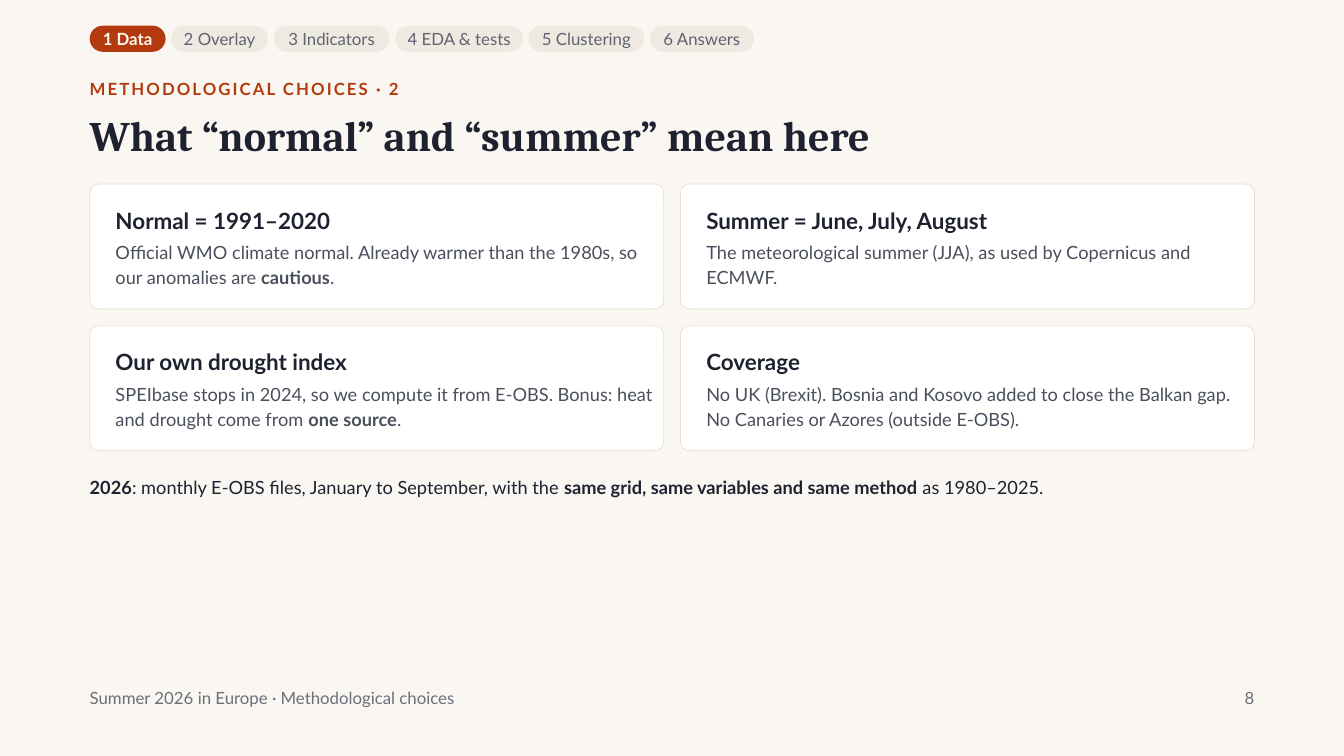
from pptx import Presentation
from pptx.dml.color import RGBColor
from pptx.enum import shapes, text
from pptx.util import Cm, Pt

PAPER = RGBColor(0xFA, 0xF7, 0xF2)
WHITE = RGBColor(0xFF, 0xFF, 0xFF)
EDGE = RGBColor(0xE4, 0xDE, 0xD3)
RUST = RGBColor(0xB2, 0x3A, 0x0E)
CREAM = RGBColor(0xFF, 0xF8, 0xF0)
SAND = RGBColor(0xEF, 0xEA, 0xE1)
SLATE = RGBColor(0x5E, 0x63, 0x70)
INK = RGBColor(0x1E, 0x22, 0x30)
BODY = RGBColor(0x4A, 0x4F, 0x5C)
MUTED = RGBColor(0x6B, 0x6F, 0x7B)

LEFT, WIDE = 3.39, 45.34
LEAD = {18: 25.2, 19.5: 27.3, 24: 28.8, 45: 51.7}  # line height by text size

# Tab label and width in cm
TABS = [("1 Data", 2.87), ("2 Overlay", 3.66), ("3 Indicators", 4.39),
        ("4 EDA & tests", 4.83), ("5 Clustering", 4.37), ("6 Answers", 3.94)]

# Card heading and body; ** marks bold parts
CARDS = [
    ("Normal = 1991–2020",
     "Official WMO climate normal. Already warmer than the 1980s, "
     "so our anomalies are **cautious**."),
    ("Summer = June, July, August",
     "The meteorological summer (JJA), as used by Copernicus and ECMWF."),
    ("Our own drought index",
     "SPEIbase stops in 2024, so we compute it from E-OBS. Bonus: "
     "heat and drought come from **one source**."),
    ("Coverage",
     "No UK (Brexit). Bosnia and Kosovo added to close the Balkan gap. "
     "No Canaries or Azores (outside E-OBS)."),
]


def style(para, words, size, color, bold=False, face="Lato",
          align=text.PP_ALIGN.LEFT):
    """Fill a paragraph, with the parts between ** in bold."""
    para.alignment = align
    para.line_spacing = Pt(LEAD[size])
    font = para.font
    font.name, font.size, font.bold = face, Pt(size), bold
    font.color.rgb = color
    for i, part in enumerate(words.split("**")):
        if part:
            run = para.add_run()
            run.text = part
            if i % 2:
                run.font.bold = True


def setup(frame, left=0, top=0, right=0, bottom=0,
          anchor=text.MSO_ANCHOR.TOP):
    frame.word_wrap = True
    frame.vertical_anchor = anchor
    frame.margin_left, frame.margin_top = Cm(left), Cm(top)
    frame.margin_right, frame.margin_bottom = Cm(right), Cm(bottom)
    return frame.paragraphs[0]


def add_note(slide, x, y, w, h, words, size, color, **look):
    box = slide.shapes.add_textbox(Cm(x), Cm(y), Cm(w), Cm(h))
    para = setup(box.text_frame)
    style(para, words, size, color, **look)
    return para


def add_panel(slide, x, y, w, h, curve, fill, line=None):
    panel = slide.shapes.add_shape(shapes.MSO_SHAPE.ROUNDED_RECTANGLE,
                                   Cm(x), Cm(y), Cm(w), Cm(h))
    panel.adjustments[0] = curve
    panel.shadow.inherit = False
    panel.fill.solid()
    panel.fill.fore_color.rgb = fill
    if line:
        panel.line.color.rgb = line
        panel.line.width = Pt(0.75)
    else:
        panel.line.fill.background()
    return panel.text_frame


def add_tab(slide, x, w, label, active):
    frame = add_panel(slide, x, 0.97, w, 0.99, 0.5, RUST if active else SAND)
    para = setup(frame, bottom=0.13, anchor=text.MSO_ANCHOR.MIDDLE)
    style(para, label, 18, CREAM if active else SLATE, bold=active,
          align=text.PP_ALIGN.CENTER)


def add_card(slide, x, y, head, body):
    frame = add_panel(slide, x, y, 21.7, 4.72, 0.07, WHITE, EDGE)
    para = setup(frame, left=0.88, top=0.76, right=0.28)
    style(para, head, 24, INK, bold=True)
    para.space_after = Pt(4.3)
    style(frame.add_paragraph(), body, 19.5, BODY)


def add_title(slide, words):
    title = slide.shapes.title
    title.left, title.top = Cm(LEFT), Cm(4.24)
    title.width, title.height = Cm(WIDE), Cm(1.85)
    style(setup(title.text_frame), words, 45, INK, bold=True, face="Cambria")


def main():
    deck = Presentation()
    deck.slide_width, deck.slide_height = Cm(50.8), Cm(28.58)
    slide = deck.slides.add_slide(deck.slide_layouts[5])
    slide.background.fill.solid()
    slide.background.fill.fore_color.rgb = PAPER

    # Section tabs
    x = LEFT
    for i, (label, w) in enumerate(TABS):
        add_tab(slide, x, w, label, i == 0)
        x += w + 0.21

    # Heading
    para = add_note(slide, LEFT, 2.84, WIDE, 1.09,
                    "METHODOLOGICAL CHOICES · 2", 18, RUST, bold=True)
    para.runs[0].font._element.set("spc", "220")
    add_title(slide, "What “normal” and “summer” mean here")

    # Two by two cards
    for i, (head, body) in enumerate(CARDS):
        row, col = divmod(i, 2)
        add_card(slide, LEFT + col * 22.33, 6.96 + row * 5.36, head, body)

    # Closing remark
    add_note(slide, LEFT, 17.88, WIDE, 1.17,
             "**2026**: monthly E-OBS files, January to September, with the "
             "**same grid, same variables and same method** as 1980–2025.",
             19.5, INK)

    # Footer
    add_note(slide, LEFT, 25.88, 38.15, 1.09,
             "Summer 2026 in Europe · Methodological choices", 18, MUTED)
    add_note(slide, 44.02, 25.88, 3.39, 1.09, "8", 18, MUTED,
             align=text.PP_ALIGN.RIGHT)

    deck.save("out.pptx")


if __name__ == "__main__":
    main()
